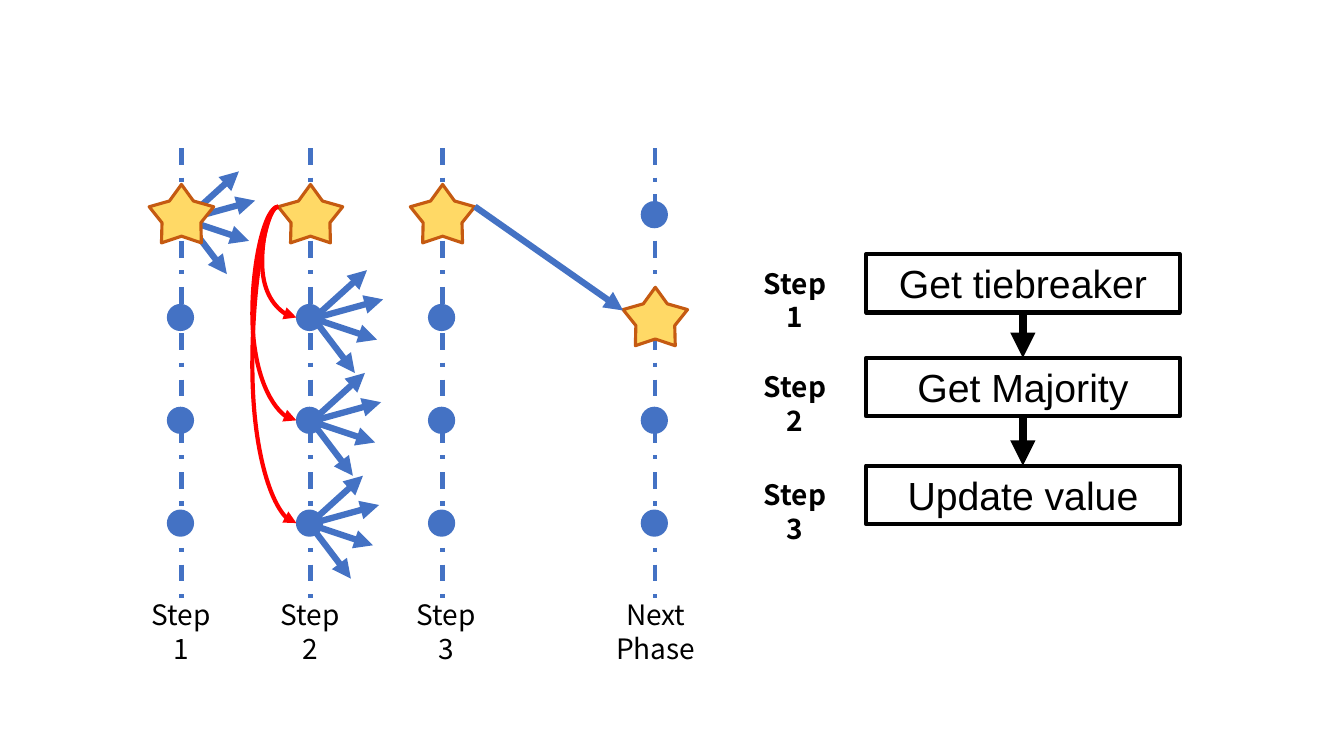
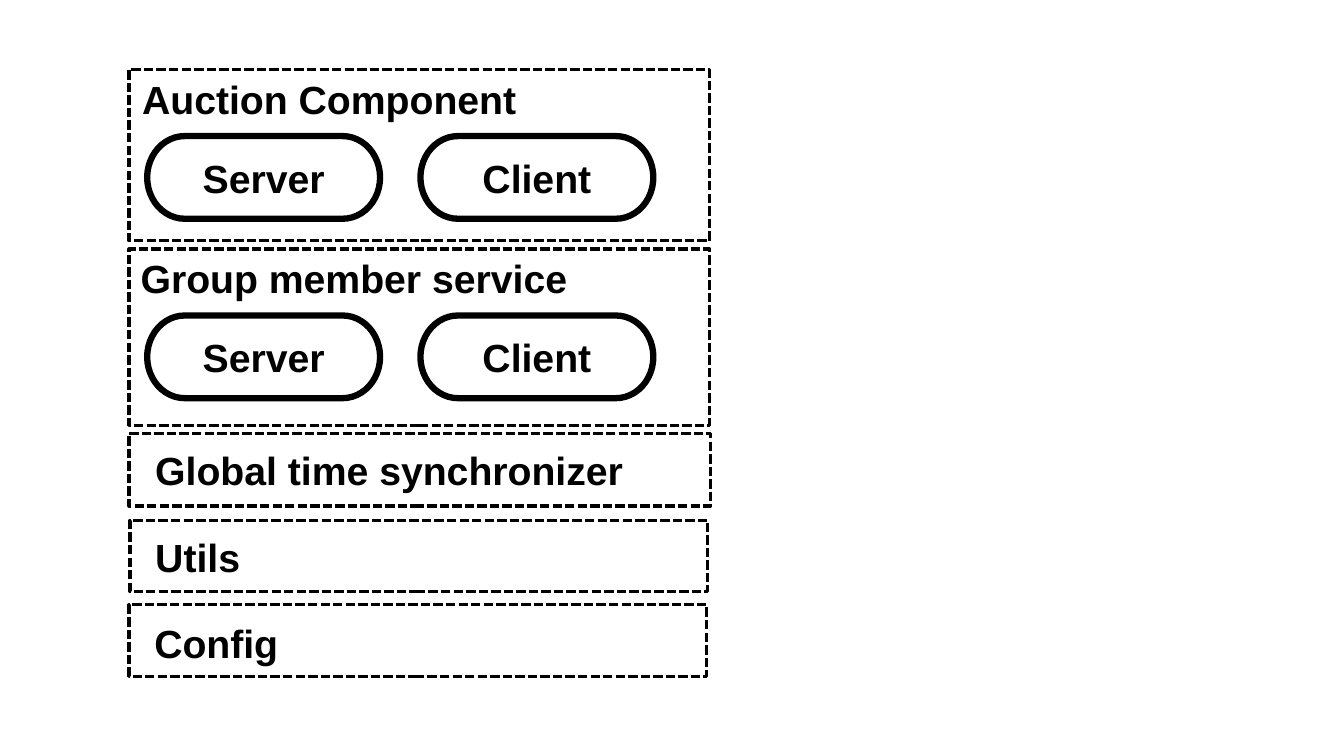
from pptx import Presentation
from pptx.dml.color import RGBColor
from pptx.enum import dml, shapes, text
from pptx.oxml.ns import qn
from pptx.util import Inches, Pt
from lxml import etree

# Shared style
BLUE = RGBColor(0x44, 0x72, 0xC4)
GOLD = RGBColor(0xFF, 0xD9, 0x66)
RUST = RGBColor(0xC5, 0x5A, 0x11)
RED = RGBColor(0xFF, 0x00, 0x00)
BLACK = RGBColor(0x00, 0x00, 0x00)
BOX_FONT = "Arial"
LABEL_FONT = "Noto Sans CJK SC"
SHAPE = shapes.MSO_SHAPE
CONNECTOR = shapes.MSO_CONNECTOR
LEFT, CENTER = text.PP_ALIGN.LEFT, text.PP_ALIGN.CENTER

# Timeline grid
ROW_TOP, ROW_STEP = 2.12, 1.02
DOT = 0.27
STAR_W, STAR_H = 0.64, 0.58
FAN = [(0.53, -0.48), (0.69, -0.19), (0.63, 0.21), (0.41, 0.54)]


def add_shape(slide, kind, left, top, width, height, fill=None, line=None,
              weight=0, dash=None):
    shape = slide.shapes.add_shape(
        kind, Inches(left), Inches(top), Inches(width), Inches(height))
    shape.shadow.inherit = False
    if fill is None:
        shape.fill.background()
    else:
        shape.fill.solid()
        shape.fill.fore_color.rgb = fill
    if line is None:
        shape.line.fill.background()
    else:
        shape.line.color.rgb = line
        shape.line.width = Pt(weight)
        if dash:
            shape.line.dash_style = dash
    return shape


def write(shape, words, bold=False, align=CENTER):
    """Put one line of large black text in a shape."""
    frame = shape.text_frame
    frame.word_wrap = True
    frame.vertical_anchor = text.MSO_ANCHOR.MIDDLE
    frame.margin_left = frame.margin_right = Inches(0.06)
    frame.margin_top = frame.margin_bottom = Inches(0.06)
    paragraph = frame.paragraphs[0]
    paragraph.text = words
    paragraph.alignment = align
    style_font(paragraph.font, BOX_FONT, 28, bold)


def style_font(font, name, size, bold):
    font.name, font.size, font.bold = name, Pt(size), bold
    font.color.rgb = BLACK


def add_label(slide, words, left, top, width, bold=False):
    """Two-line caption; a vertical tab marks the line break."""
    label = slide.shapes.add_textbox(
        Inches(left), Inches(top), Inches(width), Inches(0.77))
    label.text_frame.word_wrap = True
    paragraph = label.text_frame.paragraphs[0]
    paragraph.text = words
    paragraph.alignment = CENTER
    paragraph.line_spacing = Pt(24)
    style_font(paragraph.font, LABEL_FONT, 20, bold)


def add_line(slide, start, end, color, weight, dash=None, arrow=True,
             bend=None):
    """Straight line, or a curve when bend gives its adjustment."""
    kind = CONNECTOR.STRAIGHT if bend is None else CONNECTOR.CURVE
    line = slide.shapes.add_connector(
        kind, *(Inches(value) for value in (*start, *end)))
    line.line.color.rgb = color
    line.line.width = Pt(weight)
    if dash:
        line.line.dash_style = dash
    properties = line._element.spPr
    if arrow:
        etree.SubElement(properties.find(qn("a:ln")), qn("a:tailEnd"),
                         type="triangle")
    if bend is not None:
        guides = properties.find(qn("a:prstGeom")).get_or_add_avLst()
        etree.SubElement(guides, qn("a:gd"), name="adj1",
                         fmla=f"val {round(bend * 100000)}")
    etree.SubElement(properties, qn("a:effectLst"))
    return line


def row_y(row):
    return ROW_TOP + row * ROW_STEP


def add_star(slide, x, row):
    star = add_shape(slide, SHAPE.STAR_5_POINT, x - STAR_W / 2,
                     row_y(row) - 0.29, STAR_W, STAR_H, GOLD, RUST, 2.25)
    star.adjustments[0] = 0.301


def add_column(slide, x, star_row):
    """Time line with four members, one of them starred."""
    add_line(slide, (x, 1.47), (x, 6.02), BLUE, 3,
             dml.MSO_LINE.DASH_DOT, arrow=False)
    for row in range(4):
        if row != star_row:
            add_shape(slide, SHAPE.OVAL, x - DOT / 2 - 0.01,
                      row_y(row) - DOT / 2 + 0.01, DOT, DOT, BLUE)


def add_fan(slide, x, y):
    for dx, dy in FAN:
        add_line(slide, (x, y), (x + dx, y + dy), BLUE, 4.5)


def build_phases(slide):
    # Time lines: axis, starred row, caption, caption left and width
    columns = [
        (1.8, 0, "Step\v1", 1.35, 0.89),
        (3.08, 0, "Step\v2", 2.63, 0.89),
        (4.39, 0, "Step\v3", 3.98, 0.89),
        (6.5, 1, "Next\vPhase", 5.73, 1.55),
    ]
    for x, star_row, caption, left, width in columns:
        add_column(slide, x, star_row)
        add_label(slide, caption, left, 5.88, width)

    # Broadcasts, then the leaders on top
    add_fan(slide, 1.84, 2.18)
    for row, x in enumerate((3.11, 3.09, 3.07), start=1):
        add_fan(slide, x, row_y(row) + 0.02)
    for x, star_row, *_ in columns:
        add_star(slide, x, star_row)

    # Messages from the leader and handover to the next one
    for row, bend in enumerate((-0.89, -1.43, -1.43), start=1):
        add_line(slide, (2.76, 2.05), (2.94, row_y(row) + 0.01), RED, 3,
                 bend=bend)
    add_line(slide, (4.71, 2.05), (6.18, 3.08), BLUE, 4.5)

    # Flow of the three steps
    previous = None
    flow = [("Get tiebreaker", 2.52), ("Get Majority", 3.55),
            ("Update value", 4.62)]
    for number, (action, top) in enumerate(flow, start=1):
        box = add_shape(slide, SHAPE.RECTANGLE, 8.59, top, 3.11, 0.58,
                        line=BLACK, weight=3)
        write(box, action)
        add_label(slide, f"Step\v{number}", 7.42, top + 0.07, 0.93, bold=True)
        if previous is not None:
            arrow = add_line(slide, (10.14, top - 0.45), (10.14, top),
                             BLACK, 6)
            arrow.begin_connect(previous, 2)
            arrow.end_connect(box, 0)
        previous = box


def add_pill(slide, words, left, top, width, weight=0, align=CENTER):
    pill = add_shape(slide, SHAPE.FLOWCHART_TERMINATOR, left, top, width, 0.82,
                     line=BLACK if weight else None, weight=weight)
    write(pill, words, bold=True, align=align)


def add_frame(slide, left, top, width, height):
    add_shape(slide, SHAPE.RECTANGLE, left, top, width, height, line=BLACK,
              weight=2.25, dash=dml.MSO_LINE.SQUARE_DOT)


def build_components(slide):
    # Components with a server and a client
    for title, top, height, left, width in [
            ("Auction Component", 0.69, 1.7, 1.02, 4.49),
            ("Group member service", 2.47, 1.75, 0.84, 5.34)]:
        add_frame(slide, 1.28, top, 5.76, height)
        add_pill(slide, title, left, top - 0.12, width)
        for role, role_left in (("Server", 1.46), ("Client", 4.17)):
            add_pill(slide, role, role_left, top + 0.66, 2.31, weight=4.5)

    # Supporting layers
    for title, left, top, width, height, text_left, text_top in [
            ("Global time synchronizer", 1.28, 4.3, 5.77, 0.72, 1.21, 4.25),
            ("Utils", 1.29, 5.16, 5.73, 0.71, 1.21, 5.11),
            ("Config", 1.28, 6, 5.73, 0.71, 1.2, 5.97)]:
        add_frame(slide, left, top, width, height)
        add_pill(slide, title, text_left, text_top, 5.74, align=LEFT)


def main():
    deck = Presentation()
    deck.slide_width, deck.slide_height = Inches(13.33), Inches(7.5)
    blank = deck.slide_layouts[6]
    for build in (build_phases, build_components):
        build(deck.slides.add_slide(blank))
    deck.save("out.pptx")


if __name__ == "__main__":
    main()
